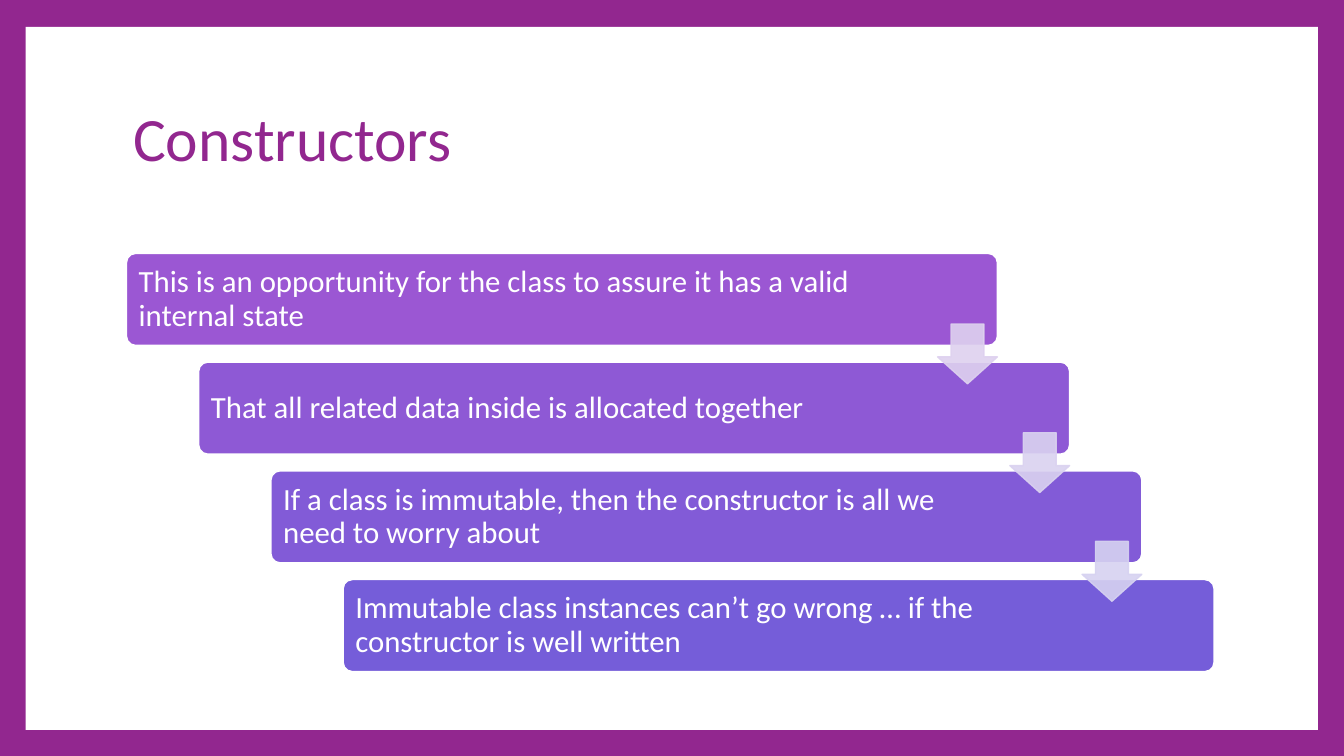
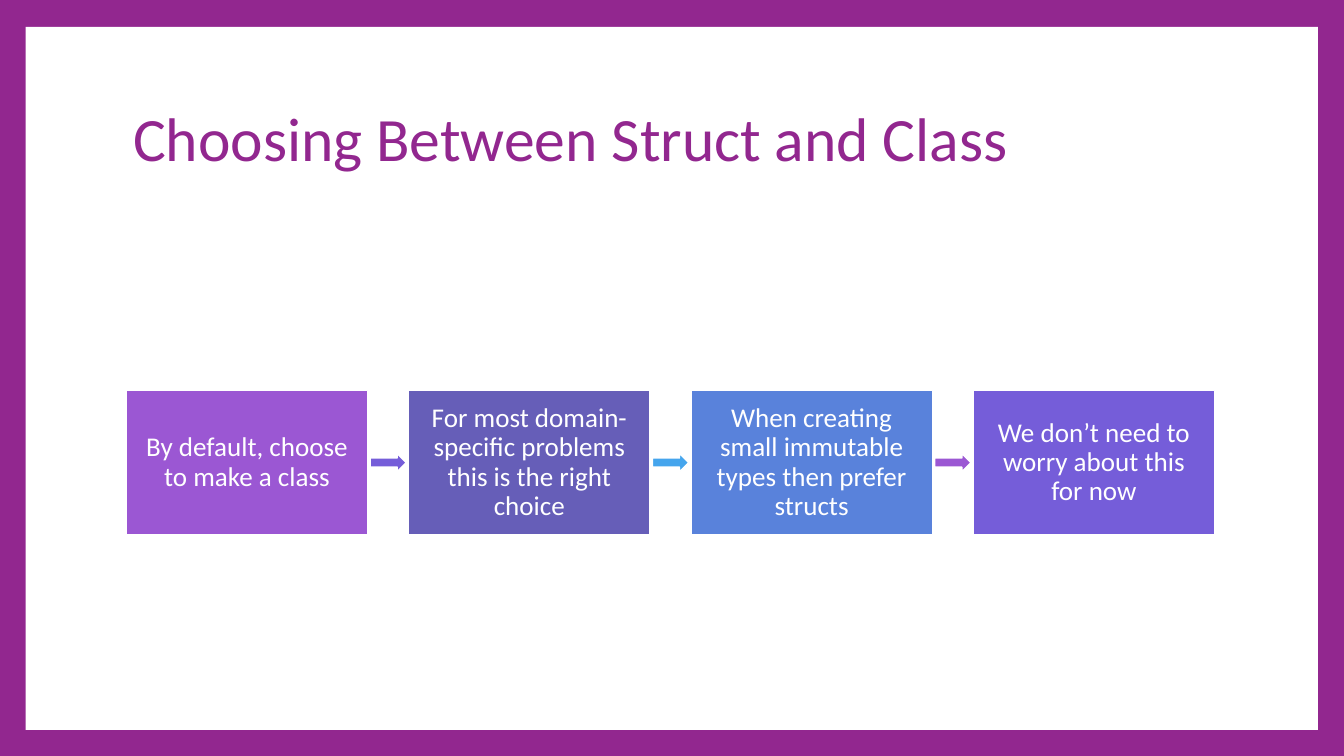
"""Build two slides: constructor steps and the choice between struct and class."""
from dataclasses import dataclass
from typing import Any

from lxml.etree import SubElement
from pptx import Presentation
from pptx.dml.color import RGBColor as Rgb
from pptx.enum.shapes import MSO_SHAPE as Preset
from pptx.enum.text import MSO_ANCHOR as Anchor, PP_ALIGN as Align
from pptx.oxml.ns import qn
from pptx.util import Cm, Pt


@dataclass(frozen=True)
class Theme:
    font: str = "Calibri"
    plum: str = "92278F"
    white: str = "FFFFFF"
    title_size: float = 66
    step_size: float = 33
    choice_size: float = 29
    outline: float = 1.5
    line_spacing: float = 0.9


@dataclass(frozen=True)
class Box:
    left: float
    top: float
    width: float
    height: float


@dataclass(frozen=True)
class Step:
    text: str
    fill: str
    right_inset: float
    arrow: str | None = None


@dataclass(frozen=True)
class Choice:
    text: str
    fill: str
    arrow: str | None = None


THEME = Theme()
FRAME = Box(0.97, 1.02, 48.84, 26.57)
TITLE = Box(4.78, 2.54, 41.15, 5.66)
FIRST_STEP = Box(4.78, 9.58, 32.92, 3.48)
STEP_SHIFT, STEP_DROP = 2.73, 4.11
STEP_INSET = 0.36
DOWN_ARROW, DOWN_ARROW_DROP = 2.26, 2.67
FIRST_CHOICE = Box(4.78, 14.76, 9.12, 5.46)
CHOICE_PITCH = 10.67
CHOICE_INSET = 0.43
LINK_WIDTH, LINK_HEIGHT = 1.37, 0.69

STEPS = (
    Step("This is an opportunity for the class to assure it has a valid internal state",
         "9B57D3", 4.22, "DED1EF"),
    Step("That all related data inside is allocated together", "8E59D5", 5.38, "DAD2F0"),
    Step("If a class is immutable, then the constructor is all we need to worry about",
         "825BD7", 5.33, "D6D2F1"),
    Step("Immutable class instances can’t go wrong … if the constructor is well written",
         "755DD9", 5.38),
)
CHOICES = (
    Choice("By default, choose to make a class", "9B57D3", "755DD9"),
    Choice("For most domain-specific problems this is the right choice", "665EB8", "45A5ED"),
    Choice("When creating small immutable types then prefer structs", "5982DB", "9B57D3"),
    Choice("We don’t need to worry about this for now", "755DD9"),
)


def apply(target: Any, values: dict[str, Any]) -> None:
    for name, value in values.items():
        setattr(target, name, value)


def place(box: Box) -> tuple[Cm, Cm, Cm, Cm]:
    return Cm(box.left), Cm(box.top), Cm(box.width), Cm(box.height)


def write(shape: Any, text: str, size: float, color: str, align: Align,
          insets: tuple[float, float, float, float]) -> None:
    frame = shape.text_frame
    sides = ("margin_left", "margin_top", "margin_right", "margin_bottom")
    apply(frame, {"word_wrap": True, "vertical_anchor": Anchor.MIDDLE,
                  **{side: Cm(inset) for side, inset in zip(sides, insets)}})
    paragraph = frame.paragraphs[0]
    apply(paragraph, {"alignment": align, "line_spacing": THEME.line_spacing})
    run = paragraph.add_run()
    run.text = text
    apply(run.font, {"name": THEME.font, "size": Pt(size)})
    run.font.color.rgb = Rgb.from_string(color)


def draw(slide: Any, preset: Preset, box: Box, fill: str, line: str | None = None,
         adjustments: tuple[float, ...] = (), opacity: int = 100) -> Any:
    shape = slide.shapes.add_shape(preset, *place(box))
    shape.shadow.inherit = False
    shape.fill.solid()
    shape.fill.fore_color.rgb = Rgb.from_string(fill)
    if line:
        shape.line.color.rgb = Rgb.from_string(line)
        shape.line.width = Pt(THEME.outline)
    else:
        shape.line.fill.background()
    for index, value in enumerate(adjustments):
        shape.adjustments[index] = value
    if opacity < 100:
        for color in list(shape.element.spPr.iter(qn("a:srgbClr"))):
            SubElement(color, qn("a:alpha")).set("val", str(opacity * 1000))
    return shape


def add_framed_slide(deck: Any, title: str) -> Any:
    slide = deck.slides.add_slide(deck.slide_layouts[6])
    draw(slide, Preset.RECTANGLE, FRAME, THEME.white)
    heading = slide.shapes.add_textbox(*place(TITLE))
    write(heading, title, THEME.title_size, THEME.plum, Align.LEFT, (0.25, 0.13, 0.25, 0.13))
    return slide


def draw_steps(slide: Any) -> None:
    boxes = [Box(FIRST_STEP.left + i * STEP_SHIFT, FIRST_STEP.top + i * STEP_DROP,
                 FIRST_STEP.width, FIRST_STEP.height) for i in range(len(STEPS))]
    for step, box in zip(STEPS, boxes):
        bar = draw(slide, Preset.ROUNDED_RECTANGLE, box, step.fill, THEME.white, (0.1,))
        write(bar, step.text, THEME.step_size, THEME.white, Align.LEFT,
              (STEP_INSET, STEP_INSET, step.right_inset, STEP_INSET))
    for step, box in zip(STEPS, boxes):
        if step.arrow:
            arrow = Box(box.left + box.width - DOWN_ARROW, box.top + DOWN_ARROW_DROP,
                        DOWN_ARROW, DOWN_ARROW)
            draw(slide, Preset.DOWN_ARROW, arrow, step.arrow, step.arrow, (0.55, 0.45), 90)


def draw_choices(slide: Any) -> None:
    gap = CHOICE_PITCH - FIRST_CHOICE.width
    for i, choice in enumerate(CHOICES):
        box = Box(FIRST_CHOICE.left + i * CHOICE_PITCH, FIRST_CHOICE.top,
                  FIRST_CHOICE.width, FIRST_CHOICE.height)
        card = draw(slide, Preset.RECTANGLE, box, choice.fill, THEME.white)
        write(card, choice.text, THEME.choice_size, THEME.white, Align.CENTER,
              (CHOICE_INSET,) * 4)
        if choice.arrow:
            link = Box(box.left + box.width + (gap - LINK_WIDTH) / 2,
                       box.top + (box.height - LINK_HEIGHT) / 2, LINK_WIDTH, LINK_HEIGHT)
            draw(slide, Preset.RIGHT_ARROW, link, choice.arrow, THEME.white, (0.5, 0.5))


def main() -> None:
    deck = Presentation()
    apply(deck, {"slide_width": Cm(50.8), "slide_height": Cm(28.58)})
    backdrop = deck.slide_master.background.fill
    backdrop.solid()
    backdrop.fore_color.rgb = Rgb.from_string(THEME.plum)
    draw_steps(add_framed_slide(deck, "Constructors"))
    draw_choices(add_framed_slide(deck, "Choosing Between Struct and Class"))
    deck.save("out.pptx")


if __name__ == "__main__":
    main()
